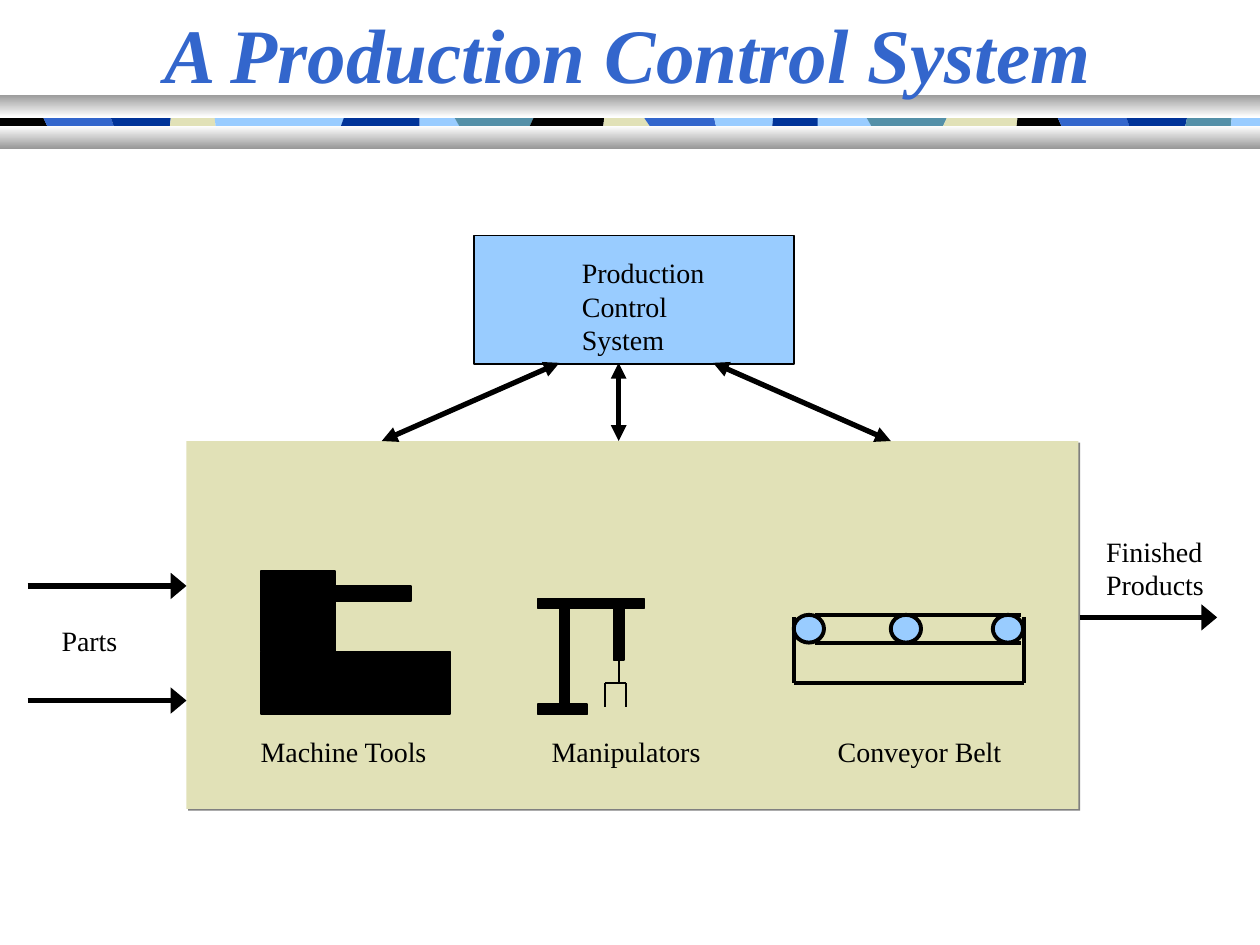
from typing import NamedTuple

from lxml import etree
from pptx import Presentation
from pptx.dml.color import RGBColor
from pptx.enum.shapes import MSO_CONNECTOR, MSO_SHAPE
from pptx.enum.text import MSO_ANCHOR, MSO_AUTO_SIZE, PP_ALIGN
from pptx.oxml.ns import qn
from pptx.util import Inches, Pt

RECTANGLE, OVAL = MSO_SHAPE.RECTANGLE, MSO_SHAPE.OVAL
STRAIGHT = MSO_CONNECTOR.STRAIGHT
MIDDLE, CENTER = MSO_ANCHOR.MIDDLE, PP_ALIGN.CENTER
FIT_SHAPE = MSO_AUTO_SIZE.SHAPE_TO_FIT_TEXT

FONT = "Times New Roman"
COLORS = {
    "black": "000000", "white": "FFFFFF", "grey": "999999", "shadow": "808080",
    "blue": "3366CC", "navy": "003399", "sky": "99CCFF", "teal": "5490A8", "sand": "E1E1B7",
}
BAND_TOP, BAND_BOTTOM = 0.85, 1.13


class Tile(NamedTuple):
    """A piece of the colour band; lean is how far its right edge moves right going down."""
    color: str
    right: float
    lean: float


class Block(NamedTuple):
    left: float
    top: float
    width: float
    height: float


class Stroke(NamedTuple):
    x1: float
    y1: float
    x2: float
    y2: float


class Label(NamedTuple):
    lines: tuple[str, ...]
    left: float
    top: float
    width: float
    height: float


TILES = [
    Tile("black", 0.37, 0.13), Tile("blue", 0.9, 0.1), Tile("navy", 1.35, -0.03),
    Tile("sand", 1.71, 0.03), Tile("sky", 2.71, -0.1), Tile("navy", 3.33, 0),
    Tile("sky", 3.64, 0.16), Tile("teal", 4.21, -0.13), Tile("black", 4.79, -0.03),
    Tile("sand", 5.15, 0.19), Tile("blue", 5.68, 0.06), Tile("sky", 6.13, -0.03),
    Tile("navy", 6.49, 0), Tile("sky", 6.91, 0.16), Tile("teal", 7.49, -0.13),
    Tile("sand", 8.07, -0.03), Tile("black", 8.42, 0.13), Tile("blue", 8.96, 0.1),
    Tile("navy", 9.41, -0.06), Tile("teal", 9.77, -0.03), Tile("sky", 10, 0),
]
MANIPULATOR = [
    Block(4.27, 5.59, 0.39, 0.08), Block(4.44, 4.83, 0.08, 0.76),
    Block(4.27, 4.75, 0.84, 0.08), Block(4.87, 4.83, 0.08, 0.41),
]
GRIPPER = [
    Stroke(4.8, 5.42, 4.8, 5.61), Stroke(4.97, 5.42, 4.97, 5.61),
    Stroke(4.8, 5.42, 4.97, 5.42), Stroke(4.91, 5.23, 4.91, 5.42),
]
MACHINE_TOOL = [
    Block(2.07, 5.17, 1.5, 0.5), Block(2.07, 4.53, 0.59, 0.64), Block(2.66, 4.65, 0.6, 0.12),
]
CONVEYOR_FRAME = [
    Stroke(6.47, 4.88, 8.1, 4.88), Stroke(6.47, 5.1, 8.1, 5.1),
    Stroke(6.3, 4.9, 6.3, 5.42), Stroke(8.13, 4.9, 8.13, 5.42), Stroke(6.3, 5.42, 8.13, 5.42),
]
ROLLER_LEFTS = [6.3, 7.07, 7.88]
PART_FLOWS = [
    Stroke(0.22, 4.65, 1.48, 4.65), Stroke(0.22, 5.56, 1.48, 5.56), Stroke(8.57, 4.9, 9.66, 4.9),
]
CONTROL_LINKS = [
    Stroke(4.44, 2.88, 3.03, 3.5), Stroke(4.91, 2.88, 4.91, 3.5), Stroke(5.66, 2.88, 7.07, 3.5),
]
LABELS = [
    Label(("Production", "Control", "System"), 4.52, 1.98, 1.19, 0.9),
    Label(("Parts",), 0.39, 4.9, 0.66, 0.37),
    Label(("Machine Tools",), 1.97, 5.78, 1.55, 0.37),
    Label(("Manipulators",), 4.28, 5.78, 1.4, 0.37),
    Label(("Conveyor Belt",), 6.55, 5.78, 1.52, 0.37),
    Label(("Finished", "Products"), 8.68, 4.19, 1.02, 0.64),
]


def rgb(name: str) -> RGBColor:
    return RGBColor.from_string(COLORS[name])


def draw_block(page, block: Block, fill: str, line_width: float = 0, kind=RECTANGLE):
    shape = page.shapes.add_shape(kind, *map(Inches, block))
    shape.shadow.inherit = False
    shape.fill.solid()
    shape.fill.fore_color.rgb = rgb(fill)
    if line_width:
        shape.line.color.rgb = rgb("black")
        shape.line.width = Pt(line_width)
    else:
        shape.line.fill.background()
    return shape


def draw_stroke(page, stroke: Stroke, width: float, arrow_ends: tuple[str, ...] = (),
                head_width: str = "med") -> None:
    """Draw a line; arrow_ends may hold headEnd (start) and tailEnd (finish), in that order."""
    line = page.shapes.add_connector(STRAIGHT, *map(Inches, stroke))
    line.line.color.rgb = rgb("black")
    line.line.width = Pt(width)
    outline = line.line._get_or_add_ln()
    for end in arrow_ends:
        etree.SubElement(outline, qn(f"a:{end}"), type="triangle", w=head_width)
    etree.SubElement(line._element.spPr, qn("a:effectLst"))


def draw_color_band(page) -> None:
    left, left_lean = 0, 0
    for color, right, lean in TILES:
        corners = [
            (left - left_lean / 2, BAND_TOP), (right - lean / 2, BAND_TOP),
            (right + lean / 2, BAND_BOTTOM), (left + left_lean / 2, BAND_BOTTOM),
        ]
        start, *others = [(Inches(x), Inches(y)) for x, y in corners]
        builder = page.shapes.build_freeform(*start)
        builder.add_line_segments(others)
        tile = builder.convert_to_shape()
        tile.shadow.inherit = False
        tile.fill.solid()
        tile.fill.fore_color.rgb = rgb(color)
        tile.line.fill.background()
        left, left_lean = right, lean


def draw_metal_bar(page, top: float, colors: tuple[str, str]) -> None:
    """Draw a full-width bar shaded from the first colour at its top to the second."""
    bar = draw_block(page, Block(0, top, 10, 0.18), "white")
    bar.fill.gradient()
    bar.fill.gradient_angle = 270
    for stop, color in zip(bar.fill.gradient_stops, colors):
        stop.color.rgb = rgb(color)


def add_span(para, text: str, size: float, color: str, strong: bool = False) -> None:
    span = para.add_run()
    span.text = text
    span.font.name, span.font.size = FONT, Pt(size)
    span.font.color.rgb = rgb(color)
    span.font.bold = span.font.italic = strong


def draw_title(page) -> None:
    frame = page.shapes.add_textbox(0, 0, Inches(9.97), Inches(0.83)).text_frame
    frame.word_wrap = True
    frame.vertical_anchor = MIDDLE
    para = frame.paragraphs[0]
    para.alignment = CENTER
    add_span(para, "A Production Control System", 44, "blue", strong=True)


def draw_label(page, label: Label) -> None:
    frame = page.shapes.add_textbox(*map(Inches, label[1:])).text_frame
    frame.word_wrap = False
    frame.auto_size = FIT_SHAPE
    for number, line in enumerate(label.lines):
        para = frame.add_paragraph() if number else frame.paragraphs[0]
        add_span(para, line, 16, "black")


def draw_plant_panel(page) -> None:
    panel = draw_block(page, Block(1.48, 3.5, 7.08, 2.92), "sand")
    effects = panel._element.spPr.find(qn("a:effectLst"))
    shadow = etree.SubElement(effects, qn("a:outerShdw"), dist=str(Pt(1.4)), dir="2700000")
    etree.SubElement(shadow, qn("a:srgbClr"), val=COLORS["shadow"])


def main() -> None:
    deck = Presentation()
    deck.slide_width, deck.slide_height = Inches(10), Inches(7.5)
    page = deck.slides.add_slide(deck.slide_layouts[6])

    draw_color_band(page)
    draw_metal_bar(page, 0.75, ("grey", "white"))
    draw_metal_bar(page, 1, ("white", "grey"))
    draw_title(page)

    draw_plant_panel(page)
    for block in MANIPULATOR + MACHINE_TOOL:
        draw_block(page, block, "black", 1)
    for stroke in GRIPPER:
        draw_stroke(page, stroke, 1)
    for stroke in CONVEYOR_FRAME:
        draw_stroke(page, stroke, 2.25)
    for left in ROLLER_LEFTS:
        draw_block(page, Block(left, 4.88, 0.24, 0.22), "sky", 2.25, OVAL)

    draw_block(page, Block(3.76, 1.87, 2.54, 1.02), "sky", 1)
    for stroke in PART_FLOWS:
        draw_stroke(page, stroke, 3, ("tailEnd",), "lg")
    for stroke in CONTROL_LINKS:
        draw_stroke(page, stroke, 3, ("headEnd", "tailEnd"))
    for label in LABELS:
        draw_label(page, label)
    deck.save("out.pptx")


if __name__ == "__main__":
    main()
